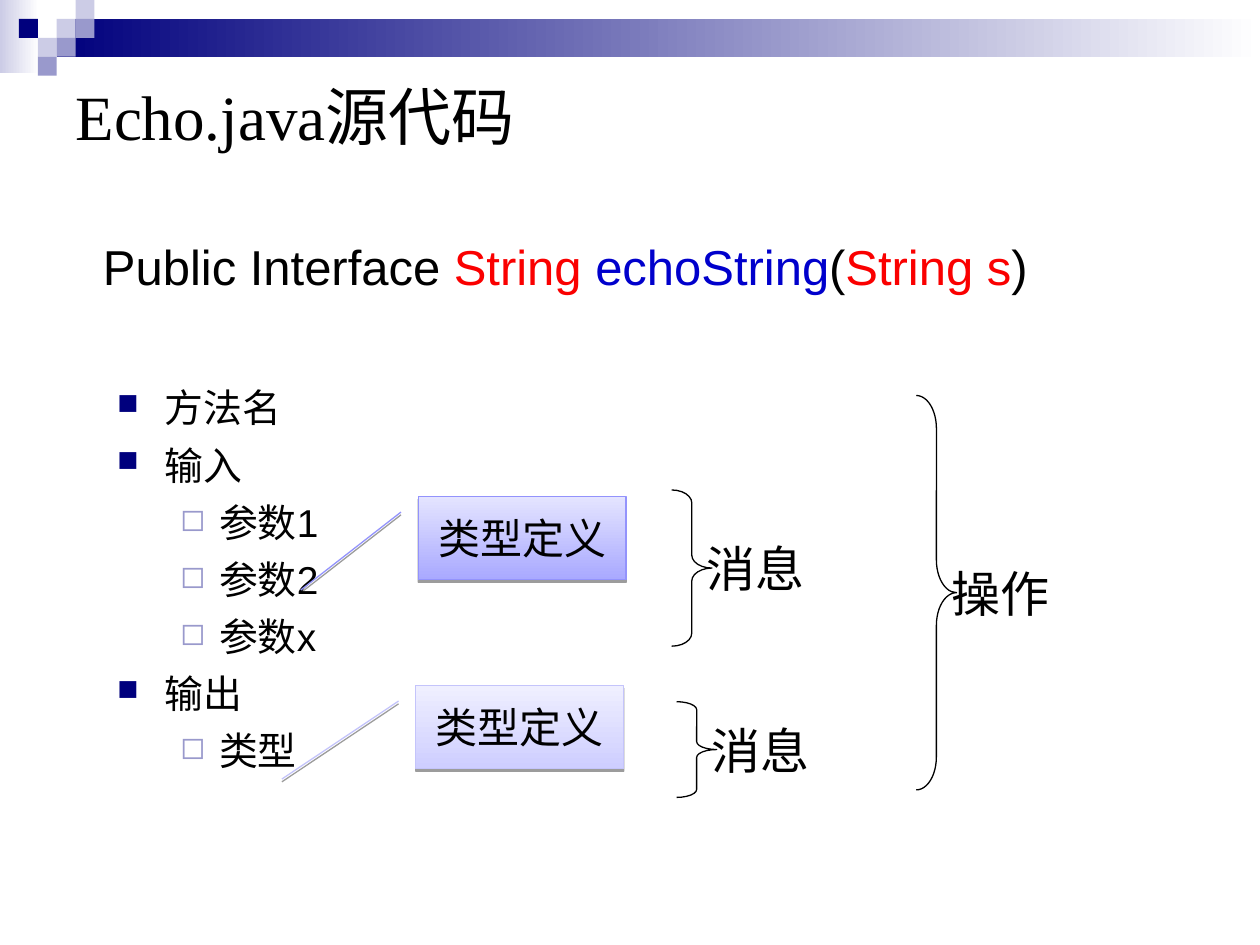
from dataclasses import dataclass

from lxml.etree import SubElement
from pptx import Presentation
from pptx.dml.color import RGBColor
from pptx.enum.shapes import MSO_SHAPE as Preset
from pptx.enum.text import MSO_ANCHOR as Anchor, PP_ALIGN as Align
from pptx.oxml.ns import qn
from pptx.util import Pt

COLORS = {
    "black": "000000", "navy": "00007D", "mist": "CCCCE6", "lilac": "9999CC",
    "white": "FFFFFF", "red": "FA0000", "blue": "0000CC",
}
SERIF, SANS = "Times New Roman", "Arial"
CELL = 10.8


@dataclass
class Callout:
    left: float
    top: float
    bottom_color: str
    top_color: str
    line_color: str
    pointer_x: float


@dataclass
class Brace:
    left: float
    top: float
    height: float
    label: str


SQUARES = [  # column, row, colour
    (3, 0, "mist"), (4, 0, "mist"), (4, 1, "lilac"), (2, 2, "mist"),
    (1, 1, "navy"), (3, 2, "lilac"), (2, 3, "lilac"),
]
SQUARES[0] = (3, 1, "mist")
OUTLINE = [
    (0, "方法名"), (0, "输入"), (1, "参数1"), (1, "参数2"), (1, "参数x"),
    (0, "输出"), (1, "类型"),
]
LEVELS = [  # bullet, colour, size %, left margin, hanging indent
    ("■", "navy", 75, 27.36, 27.36),
    ("◻", "lilac", 80, 58.3, 22.3),
]
SIGNATURE = [
    ("Public Interface ", "black"), ("String ", "red"), ("echoString", "blue"),
    ("(", "black"), ("String s", "red"), (")", "black"),
]
CALLOUTS = [
    Callout(239, 283.7, "A9A9FF", "E4E4FF", "9393FC", -0.565),
    Callout(237.6, 391.7, "CECEFF", "EFEFFF", "C4C4FB", -0.644),
]
BRACES = [
    Brace(383.8, 280, 89.3, "消息"),
    Brace(386.6, 401, 54.7, "消息"),
    Brace(523.6, 226, 225.4, "操作"),
]


def rgb(color: str) -> RGBColor:
    return RGBColor.from_string(COLORS.get(color, color))


def add_span(para, text: str, *, size: float, font: str, color: str = "black") -> None:
    span = para.add_run()
    span.text = text
    span.font.size = Pt(size)
    span.font.name = font
    span.font.color.rgb = rgb(color)


def add_box(page, left: float, top: float, width: float, height: float, wrap: bool):
    box = page.shapes.add_textbox(Pt(left), Pt(top), Pt(width), Pt(height))
    box.text_frame.word_wrap = wrap
    return box.text_frame


def add_preset(page, preset, left: float, top: float, width: float, height: float):
    shape = page.shapes.add_shape(preset, Pt(left), Pt(top), Pt(width), Pt(height))
    shape.shadow.inherit = False
    return shape


def fill_gradient(shape, start: str, end: str, angle: float) -> None:
    shape.fill.gradient()
    shape.fill.gradient_angle = angle
    for stop, color, position in zip(shape.fill.gradient_stops, (start, end), (0, 1)):
        stop.color.rgb = rgb(color)
        stop.position = position


def add_band(page, left: float, top: float, width: float, height: float, start: str) -> None:
    band = add_preset(page, Preset.RECTANGLE, left, top, width, height)
    fill_gradient(band, start, "white", 0)
    band.line.fill.background()


def add_square(page, column: int, row: int, color: str) -> None:
    square = add_preset(page, Preset.RECTANGLE, column * CELL, row * CELL, CELL, CELL)
    square.fill.solid()
    square.fill.fore_color.rgb = rgb(color)
    square.line.fill.background()


def add_bullet(para, level: int) -> None:
    char, color, percent, margin, hanging = LEVELS[level]
    props = para._p.get_or_add_pPr()
    props.set("marL", str(Pt(margin)))
    props.set("indent", str(-Pt(hanging)))
    SubElement(SubElement(props, qn("a:buClr")), qn("a:srgbClr"), val=COLORS[color])
    SubElement(props, qn("a:buSzPct"), val=str(percent * 1000))
    SubElement(props, qn("a:buChar"), char=char)


def add_outline(page) -> None:
    frame = add_box(page, 59.8, 216, 179.3, 240.5, True)
    for index, (level, text) in enumerate(OUTLINE):
        para = frame.add_paragraph() if index else frame.paragraphs[0]
        para.level = level
        add_bullet(para, level)
        if index:
            para.space_before = Pt(6)
        add_span(para, text, size=22.2, font=SANS)


def add_callout(page, item: Callout) -> None:
    shape = add_preset(page, Preset.LINE_CALLOUT_1, item.left, item.top, 118.8, 47.5)
    for index, value in enumerate((0.188, -0.083, 1.126, item.pointer_x)):
        shape.adjustments[index] = value
    fill_gradient(shape, item.bottom_color, item.top_color, 90)
    shape.line.color.rgb = rgb(item.line_color)
    shape.line.width = Pt(0.75)
    effects = shape._element.spPr.find(qn("a:effectLst"))
    shadow = SubElement(effects, qn("a:outerShdw"), blurRad="0", dist=str(Pt(1.6)),
                        dir="5400000", rotWithShape="0")
    tint = SubElement(shadow, qn("a:srgbClr"), val=COLORS["black"])
    SubElement(tint, qn("a:alpha"), val="38000")
    shape.text_frame.vertical_anchor = Anchor.MIDDLE
    para = shape.text_frame.paragraphs[0]
    para.alignment = Align.CENTER
    add_span(para, "类型定义", size=24, font=SERIF)


def add_brace(page, item: Brace) -> None:
    width = 23
    shape = add_preset(page, Preset.RIGHT_BRACE, item.left, item.top, width, item.height)
    shape.adjustments[0] = item.height / 12 / width
    shape.fill.background()
    shape.line.color.rgb = rgb("black")
    shape.line.width = Pt(0.75)
    # Label beside the tip
    frame = add_box(page, item.left + 20, item.top + item.height / 2 - 18, 58, 36, False)
    frame.margin_left = frame.margin_right = 0
    frame.vertical_anchor = Anchor.MIDDLE
    add_span(frame.paragraphs[0], item.label, size=28, font=SERIF)


def main() -> None:
    deck = Presentation()
    deck.slide_width, deck.slide_height = Pt(720), Pt(540)
    page = deck.slides.add_slide(deck.slide_layouts[5])

    # Header decoration
    add_band(page, 0, 0, 22.3, 41.8, "mist")
    add_band(page, 3 * CELL, CELL, 720 - 3 * CELL, 2 * CELL, "navy")
    for square in SQUARES:
        add_square(page, *square)

    # Title
    title = page.shapes.title
    title.left, title.top, title.width, title.height = Pt(36), Pt(36), Pt(648), Pt(59.8)
    title.text_frame.vertical_anchor = Anchor.MIDDLE
    para = title.text_frame.paragraphs[0]
    para.alignment = Align.LEFT
    add_span(para, "Echo.java源代码", size=36, font=SERIF)

    # Method signature
    frame = add_box(page, 51.8, 131.8, 543, 41, False)
    for text, color in SIGNATURE:
        add_span(frame.paragraphs[0], text, size=28, font=SANS, color=color)

    # Outline with its annotations
    add_outline(page)
    for callout in CALLOUTS:
        add_callout(page, callout)
    for brace in BRACES:
        add_brace(page, brace)

    deck.save("out.pptx")


if __name__ == "__main__":
    main()
